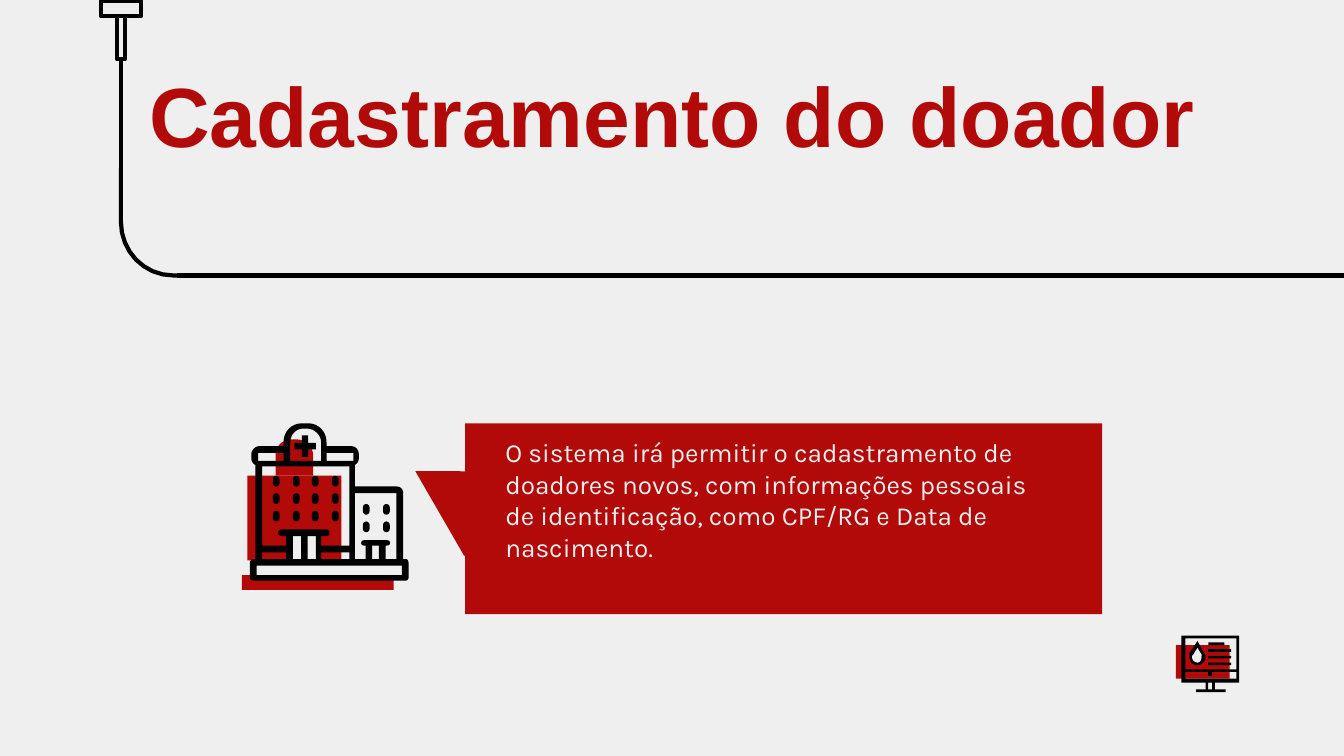
from itertools import product

from pptx import Presentation
from pptx.dml.color import RGBColor
from pptx.enum.shapes import MSO_CONNECTOR, MSO_SHAPE as Preset
from pptx.enum.text import MSO_ANCHOR, MSO_AUTO_SIZE, PP_ALIGN
from pptx.oxml.xmlchemy import OxmlElement
from pptx.util import Inches, Pt

COLORS = {"paper": "EFEFEF", "blood": "B20909", "ink": "000000"}
CURVE_STEPS = 8


def color(name):
    return RGBColor.from_string(COLORS[name])


def style(shape, fill=None, line=None):
    """Set the fill colour, and a black outline of the given width in points."""
    shape.shadow.inherit = False
    if fill:
        shape.fill.solid()
        shape.fill.fore_color.rgb = color(fill)
    else:
        shape.fill.background()
    if line:
        shape.line.color.rgb = color("ink")
        shape.line.width = Pt(line)
    else:
        shape.line.fill.background()
    return shape


def add_preset(shapes, preset, bounds, fill, line=None, adjust=None):
    shape = shapes.add_shape(preset, *map(Inches, bounds))
    if adjust is not None:
        shape.adjustments[0] = adjust
    return style(shape, fill, line)


def add_line(shapes, *ends):
    connector = shapes.add_connector(MSO_CONNECTOR.STRAIGHT, *map(Inches, ends))
    connector.line.color.rgb = color("ink")
    connector.line.width = Pt(2.25)
    connector._element.spPr.append(OxmlElement("a:effectLst"))


def flatten(contour):
    """Turn points (x, y) and cubic curves (x1, y1, x2, y2, x, y) into points."""
    points = []
    for step in contour:
        if len(step) == 2:
            points.append(step)
            continue
        nodes = [points[-1], step[:2], step[2:4], step[4:]]
        for index in range(1, CURVE_STEPS + 1):
            t = index / CURVE_STEPS
            weights = ((1 - t) ** 3, 3 * t * (1 - t) ** 2, 3 * t * t * (1 - t), t ** 3)
            points.append(tuple(sum(w * node[axis] for w, node in zip(weights, nodes))
                                for axis in (0, 1)))
    return [(Inches(x), Inches(y)) for x, y in points]


def add_outline(shapes, contours, fill=None, line=None, close=True):
    builder = None
    for contour in contours:
        first, *rest = flatten(contour)
        if builder is None:
            builder = shapes.build_freeform(*first, scale=1.0)
        else:
            builder.move_to(*first)
        builder.add_line_segments(rest, close=close)
    return style(builder.convert_to_shape(), fill, line)


def opening(left, top, right, bottom):
    return [(left, top), (right, top), (right, bottom), (left, bottom)]


def fill_placeholder(box, bounds, text, frame_format, paragraph_format, font_format):
    box.left, box.top, box.width, box.height = map(Inches, bounds)
    frame = box.text_frame
    frame.text = text
    paragraph = frame.paragraphs[0]
    properties = paragraph._p.get_or_add_pPr()
    properties.set("marL", "0")
    properties.set("indent", "0")
    properties.append(OxmlElement("a:buNone"))
    span = paragraph.runs[0]
    common = {"word_wrap": True, "auto_size": MSO_AUTO_SIZE.NONE,
              "margin_top": Inches(0.1), "margin_bottom": Inches(0.1)}
    for target, values in ((frame, common | frame_format),
                           (paragraph, {"space_before": Pt(0)} | paragraph_format),
                           (span.font, font_format)):
        for name, value in values.items():
            setattr(target, name, value)
    span.font.color.rgb = color("paper" if box.placeholder_format.idx else "blood")


def add_drip_tube(shapes):
    add_line(shapes, 0.9, 1.28, 0.9, 0.45)
    add_line(shapes, 1.32, 2.05, 10, 2.05)
    bend = [(0.9, 1.25), (0.9, 1.65), (0.9, 1.87, 1.07, 2.05, 1.29, 2.05), (1.36, 2.05)]
    add_outline(shapes, [bend], line=2.25, close=False)
    for bounds in ((0.75, 0.01, 0.3, 0.11), (0.87, 0.12, 0.06, 0.32)):
        add_preset(shapes, Preset.RECTANGLE, bounds, "paper", 2.25)


def add_hospital(shapes):
    # Red offset silhouette
    add_preset(shapes, Preset.RECTANGLE, (1.8, 4.28, 1.13, 0.11), "blood")
    dome = [(2.33, 3.54), (2.33, 3.39), (2.33, 3.32, 2.27, 3.27, 2.21, 3.27), (2.17, 3.27),
            (2.1, 3.27, 2.05, 3.32, 2.05, 3.39), (2.05, 3.54)]
    add_outline(shapes, [dome], "blood")
    add_preset(shapes, Preset.RECTANGLE, (2.04, 3.99, 0.12, 0.18), "blood")
    block = [(1.84, 3.54), (2.54, 3.54), (2.54, 4.17), (2.29, 4.17),
             (2.29, 4.05), (2.07, 4.05), (2.07, 4.17), (1.84, 4.17)]
    add_outline(shapes, [block], "blood")

    # Cross and windows
    add_preset(shapes, Preset.CROSS, (2.19, 3.24, 0.16, 0.16), "ink", adjust=0.35)
    tower = product((2.03, 2.18, 2.32, 2.47), (3.54, 3.67, 3.8))
    annex = product((2.7, 2.85), (3.75, 3.88))
    for left, top in (*tower, *annex):
        add_preset(shapes, Preset.ROUNDED_RECTANGLE, (left, top, 0.05, 0.08), "ink", adjust=0.5)

    # Door and black walls with their openings
    add_preset(shapes, Preset.RECTANGLE, (2.16, 3.97, 0.21, 0.22), "paper")
    walls = [(2.25, 3.15), (2.17, 3.15, 2.11, 3.21, 2.11, 3.29), (2.11, 3.32), (1.93, 3.32),
             (1.9, 3.32, 1.87, 3.35, 1.87, 3.38), (1.87, 3.41),
             (1.87, 3.43, 1.88, 3.45, 1.9, 3.46), (1.9, 4.16), (1.89, 4.16),
             (1.87, 4.16, 1.86, 4.17, 1.86, 4.19), (1.86, 4.3),
             (1.86, 4.31, 1.87, 4.32, 1.89, 4.32), (3.02, 4.32),
             (3.03, 4.32, 3.04, 4.31, 3.04, 4.3), (3.04, 4.19),
             (3.04, 4.17, 3.03, 4.16, 3.02, 4.16), (3, 4.16), (3, 3.67),
             (3, 3.64, 2.98, 3.62, 2.95, 3.62), (2.64, 3.62), (2.64, 3.46),
             (2.66, 3.45, 2.67, 3.43, 2.67, 3.41), (2.67, 3.38),
             (2.67, 3.35, 2.65, 3.32, 2.61, 3.32), (2.43, 3.32), (2.43, 3.29),
             (2.43, 3.21, 2.37, 3.15, 2.29, 3.15)]
    dome_opening = [(2.29, 3.19), (2.34, 3.19, 2.39, 3.24, 2.39, 3.29), (2.39, 3.43),
                    (2.16, 3.43), (2.16, 3.29), (2.16, 3.24, 2.2, 3.19, 2.25, 3.19)]
    tower_opening = [(2.6, 3.47), (2.6, 4.06), (2.39, 4.06), (2.39, 3.99), (2.43, 3.99),
                     (2.46, 3.99, 2.46, 3.94, 2.43, 3.94), (2.1, 3.94),
                     (2.06, 3.94, 2.06, 3.99, 2.1, 3.99), (2.13, 3.99), (2.13, 4.06),
                     (1.95, 4.06), (1.95, 3.47)]
    annex_opening = [(2.95, 3.67), (2.95, 4.16), (2.87, 4.16), (2.87, 4.06), (2.88, 4.06),
                     (2.91, 4.06, 2.91, 4.02, 2.88, 4.02), (2.71, 4.02),
                     (2.68, 4.02, 2.68, 4.06, 2.71, 4.06), (2.72, 4.06), (2.72, 4.16),
                     (2.64, 4.16), (2.64, 3.67)]
    small_openings = [opening(*edges) for edges in (
        (1.92, 3.37, 2.11, 3.43), (2.43, 3.37, 2.63, 3.43),
        (1.95, 4.11, 2.13, 4.16), (2.18, 3.99, 2.24, 4.16), (2.29, 3.99, 2.35, 4.16),
        (2.39, 4.11, 2.6, 4.16), (2.77, 4.06, 2.82, 4.16), (1.91, 4.21, 2.99, 4.28))]
    add_outline(shapes, [walls, dome_opening, tower_opening, annex_opening, *small_openings], "ink")


def add_monitor(shapes):
    add_preset(shapes, Preset.RECTANGLE, (8.75, 4.8, 0.4, 0.25), "blood")

    # Screen and stand
    frame = [(8.79, 4.73), (8.79, 5.08), (8.97, 5.08), (8.97, 5.13), (8.9, 5.13), (8.9, 5.15),
             (9.12, 5.15), (9.12, 5.13), (9.04, 5.13), (9.04, 5.08), (9.22, 5.08), (9.22, 4.73)]
    chin = [(9.2, 5), (9.2, 5.05), (8.82, 5.05), (8.82, 5), (8.99, 5),
            (8.99, 5.03), (9.02, 5.03), (9.02, 5)]
    add_outline(shapes, [frame, opening(8.82, 4.75, 9.2, 4.98), chin,
                         opening(8.99, 5.08, 9.02, 5.13)], "ink")

    # Blood drop
    drop = [(8.91, 4.77), (8.85, 4.86), (8.85, 4.87, 8.85, 4.88, 8.85, 4.89),
            (8.85, 4.92, 8.87, 4.95, 8.91, 4.95), (8.94, 4.95, 8.97, 4.92, 8.97, 4.89),
            (8.97, 4.88, 8.97, 4.87, 8.96, 4.86)]
    core = [(8.91, 4.82), (8.88, 4.87), (8.87, 4.88, 8.87, 4.88, 8.87, 4.89),
            (8.87, 4.91, 8.89, 4.93, 8.91, 4.93), (8.93, 4.93, 8.94, 4.91, 8.94, 4.89),
            (8.94, 4.88, 8.94, 4.88, 8.94, 4.87)]
    add_outline(shapes, [drop], "ink")
    add_outline(shapes, [core], "paper")

    # Lines of the record
    for row, width in enumerate((0.12, 0.17, 0.17, 0.17)):
        add_preset(shapes, Preset.RECTANGLE, (8.99, 4.78 + 0.05 * row, width, 0.02), "ink")


def main():
    deck = Presentation()
    deck.slide_width, deck.slide_height = Inches(10), Inches(10 * 9 / 16)
    page = deck.slides.add_slide(deck.slide_layouts[1])
    page.background.fill.solid()
    page.background.fill.fore_color.rgb = color("paper")
    shapes = page.shapes

    # Title
    fill_placeholder(shapes.title, (0.78, 0.4, 8.44, 0.9), "Cadastramento do doador",
                     {"vertical_anchor": MSO_ANCHOR.MIDDLE},
                     {"alignment": PP_ALIGN.CENTER},
                     {"name": "Arial", "size": Pt(45), "bold": True})

    # Speech panel with its pointer
    panel = page.placeholders[1]
    fill_placeholder(panel, (3.46, 3.15, 4.74, 1.42),
                     "O sistema irá permitir o cadastramento de doadores novos, com informações "
                     "pessoais de identificação, como CPF/RG e Data de nascimento.",
                     {"vertical_anchor": MSO_ANCHOR.TOP,
                      "margin_left": Inches(0.3), "margin_right": Inches(0.3)},
                     {"alignment": PP_ALIGN.LEFT}, {"name": "Karla", "size": Pt(14)})
    panel.fill.solid()
    panel.fill.fore_color.rgb = color("blood")
    pointer = add_preset(shapes, Preset.ISOSCELES_TRIANGLE, (3.18, 3.35, 0.73, 0.63), "blood")
    pointer.rotation = 60
    panel._element.addprevious(pointer._element)

    # Decoration and icons
    for draw in (add_drip_tube, add_hospital, add_monitor):
        draw(shapes.add_group_shape().shapes)

    deck.save("out.pptx")


if __name__ == "__main__":
    main()
